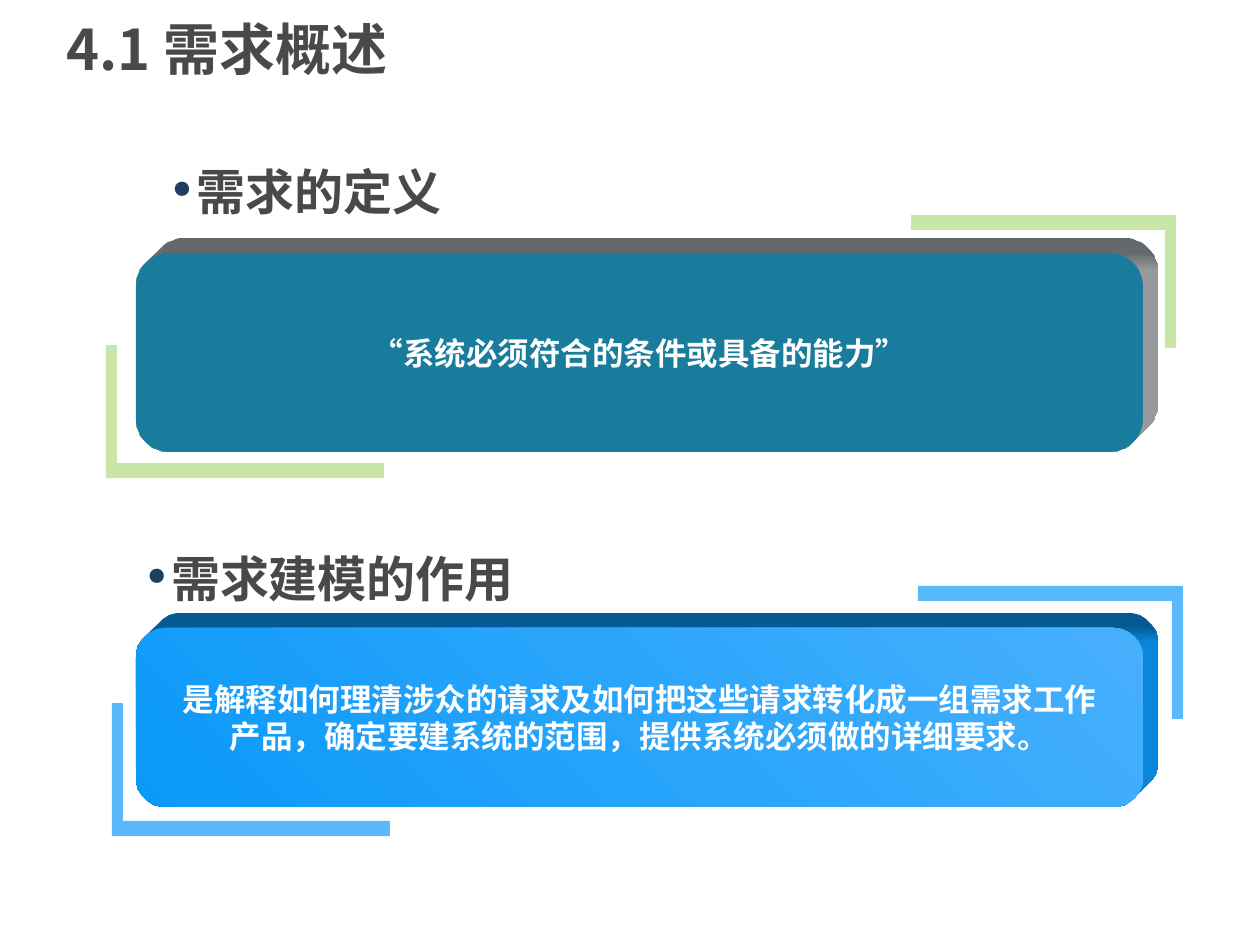
from math import cos, radians, sin

from lxml.etree import SubElement
from pptx import Presentation
from pptx.dml.color import RGBColor
from pptx.enum.shapes import MSO_SHAPE
from pptx.enum.text import MSO_ANCHOR, MSO_AUTO_SIZE, PP_ALIGN
from pptx.oxml.ns import qn
from pptx.util import Pt

PX = 914400 / 126
DEPTH = 15
BAR, POST = 15, 11
CORNER = 0.167
LATIN, CJK = "DejaVu Sans", "Noto Sans CJK SC"
COLORS = {
    "text": "47494B", "bullet": "1F3F5F", "white": "FFFFFF",
    "teal": "197C9C", "grey_top": "66696B", "grey_side": "98999D",
    "green": "92D050", "blue": "0B99F9", "blue_light": "47B0FD",
    "blue_top": "065A94", "blue_side": "0A86DC",
}


def rgb(name):
    return RGBColor.from_string(COLORS[name])


def emu(*lengths):
    return [round(length * PX) for length in lengths]


def place(shape, box):
    shape.left, shape.top, shape.width, shape.height = emu(*box)


def style(font, size, color, name):
    font.size, font.bold, font.name = Pt(size), True, name
    font.color.rgb = rgb(color)


def paint_gradient(shape, first, last, angle, start=0, end=1):
    shape.fill.gradient()
    shape.fill.gradient_angle = angle
    for stop, color, position in zip(shape.fill.gradient_stops,
                                     (first, last), (start, end)):
        stop.color.rgb, stop.position = rgb(color), position


def add_outline(slide, points):
    builder = slide.shapes.build_freeform(*points[0], scale=PX)
    builder.add_line_segments(points[1:], close=True)
    outline = builder.convert_to_shape()
    outline.shadow.inherit = False
    outline.line.fill.background()
    return outline


def add_title(slide, box, wording):
    title = slide.shapes.title
    place(title, box)
    frame = title.text_frame
    frame.text = wording
    frame.vertical_anchor = MSO_ANCHOR.MIDDLE
    line = frame.paragraphs[0]
    line.alignment = PP_ALIGN.LEFT
    line.line_spacing, line.space_after = 0.9, Pt(13)
    style(line.runs[0].font, 32, "text", CJK)


def add_heading(heading, box, wording):
    place(heading, box)
    frame = heading.text_frame
    frame.text = wording
    frame.auto_size = MSO_AUTO_SIZE.NONE
    line = frame.paragraphs[0]
    line.alignment, line.space_before = PP_ALIGN.CENTER, Pt(0)
    props = line._p.get_or_add_pPr()
    props.set("marL", "0")
    props.set("indent", "0")
    bullet_color = SubElement(props, qn("a:buClr"))
    SubElement(bullet_color, qn("a:srgbClr"), val=COLORS["bullet"])
    SubElement(props, qn("a:buFont"), typeface=LATIN)
    SubElement(props, qn("a:buChar"), char="•")
    style(line.runs[0].font, 28, "text", LATIN)


def add_bracket(slide, box, color, opacity, upper_right=False):
    """L-shaped bracket at the lower left, or turned to the upper right."""
    left, top, width, height = box
    points = [(0, 0), (POST, 0), (POST, height - BAR),
              (width, height - BAR), (width, height), (0, height)]
    if upper_right:
        points = [(width - x, height - y) for x, y in points]
    bracket = add_outline(slide, [(left + x, top + y) for x, y in points])
    bracket.fill.solid()
    bracket.fill.fore_color.rgb = rgb(color)
    tint = bracket._element.spPr.find(qn("a:solidFill"))[0]
    SubElement(tint, qn("a:alpha"), val=str(opacity * 1000))


def add_depth(slide, box, top_color, side_color):
    """Sides of a rounded slab reaching up and to the right of its face."""
    left, top, width, height = box
    radius = CORNER * min(width, height)
    points = []
    for quadrant in range(4):
        x = left + (width - radius if quadrant in (0, 3) else radius)
        y = top + (height - radius if quadrant < 2 else radius)
        for step in range(13):
            angle = radians(90 * quadrant + 7.5 * step)
            across, down = cos(angle), sin(angle)
            shift = DEPTH if across > down else 0
            points.append((x + shift + radius * across,
                           y - shift + radius * down))
    sides = add_outline(slide, points)
    paint_gradient(sides, top_color, side_color, 270, 0.07, 0.15)


def add_panel(slide, box, lines, face_colors, depth_colors):
    add_depth(slide, box, *depth_colors)
    face = slide.shapes.add_shape(MSO_SHAPE.ROUNDED_RECTANGLE, *emu(*box))
    face.adjustments[0] = CORNER
    face.shadow.inherit = False
    face.line.fill.background()
    if len(face_colors) == 1:
        face.fill.solid()
        face.fill.fore_color.rgb = rgb(face_colors[0])
    else:
        paint_gradient(face, *face_colors, 45)
    frame = face.text_frame
    frame.text = "\n".join(lines)
    frame.word_wrap = False
    frame.vertical_anchor = MSO_ANCHOR.MIDDLE
    for line in frame.paragraphs:
        line.alignment = PP_ALIGN.CENTER
        style(line.runs[0].font, 18, "white", LATIN)


def main():
    deck = Presentation()
    deck.slide_width, deck.slide_height = emu(1260, 945)
    slide = deck.slides.add_slide(deck.slide_layouts[3])
    definition, purpose = list(slide.placeholders)[1:]

    add_title(slide, (54, 8, 1140, 88), "4.1 需求概述")
    add_heading(definition, (0, 155, 609, 72), "需求的定义")
    add_heading(purpose, (0, 542, 656, 72), "需求建模的作用")

    add_bracket(slide, (106, 345, 278, 133), "green", 50)
    add_bracket(slide, (911, 215, 265, 133), "green", 50, upper_right=True)
    add_panel(slide, (136, 253, 1007, 199),
              ["“系统必须符合的条件或具备的能力”"],
              ["teal"], ["grey_top", "grey_side"])

    add_bracket(slide, (112, 703, 278, 133), "blue", 68)
    add_bracket(slide, (918, 586, 265, 133), "blue", 68, upper_right=True)
    add_panel(slide, (136, 628, 1007, 179),
              ["是解释如何理清涉众的请求及如何把这些请求转化成一组需求工作",
               "产品，确定要建系统的范围，提供系统必须做的详细要求。"],
              ["blue", "blue_light"], ["blue_top", "blue_side"])
    deck.save("out.pptx")


if __name__ == "__main__":
    main()
